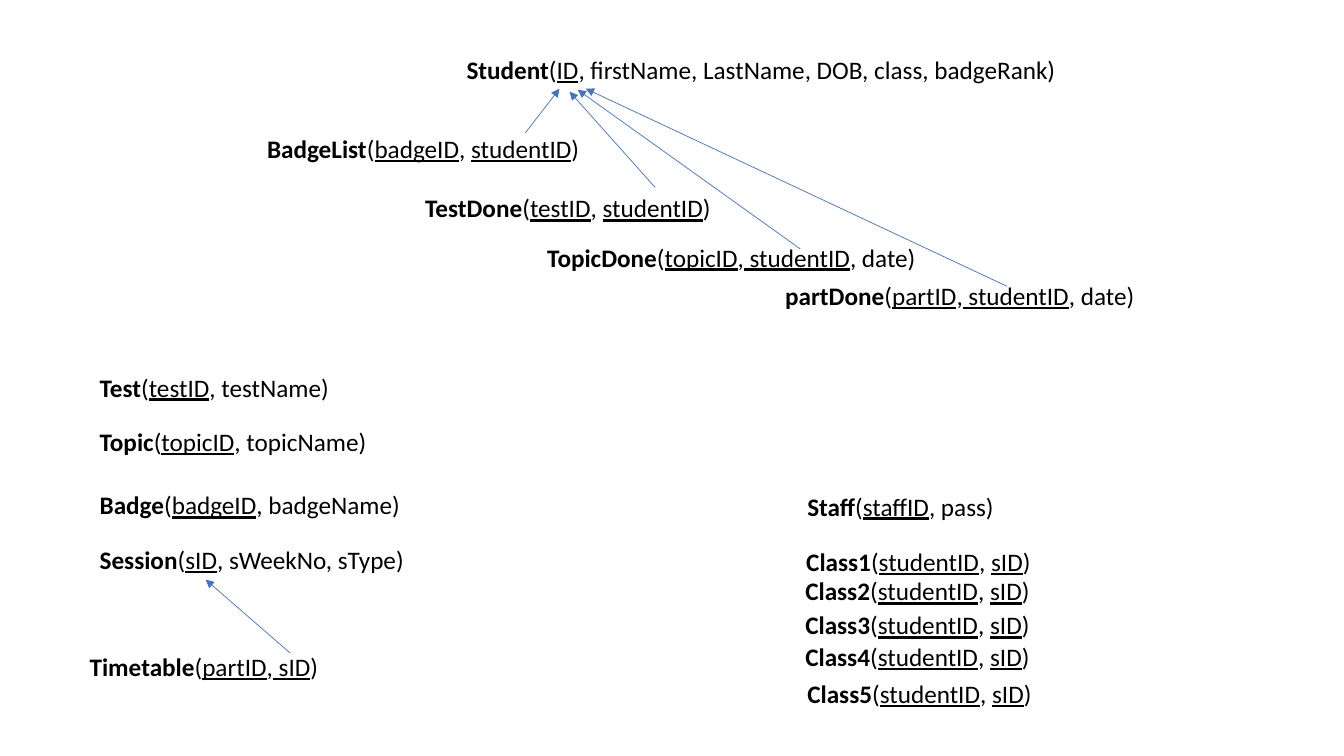
import pptx
import pptx.dml.color
import pptx.enum.shapes
import pptx.enum.text
import pptx.util
import lxml.etree


def color(value):
    return pptx.dml.color.RGBColor.from_string(value)


class SchemaSlide:
    font_name = "Calibri"
    font_size = pptx.util.Pt(18)
    text_color = "000000"
    arrow_color = "4472C4"
    arrow_width = pptx.util.Pt(0.5)
    row_height = 5.33

    def __init__(self, presentation):
        self.column = presentation.slide_width / 100
        self.row = presentation.slide_height / 100
        self.slide = presentation.slides.add_slide(presentation.slide_layouts[6])

    def place(self, left, top):
        return round(left * self.column), round(top * self.row)

    def relation(self, name, attributes, left, top, width):
        box = self.slide.shapes.add_textbox(
            *self.place(left, top), *self.place(width, self.row_height))
        frame = box.text_frame
        frame.word_wrap = True
        frame.auto_size = pptx.enum.text.MSO_AUTO_SIZE.SHAPE_TO_FIT_TEXT
        paragraph = frame.paragraphs[0]
        paragraph.font.name = self.font_name
        paragraph.font.size = self.font_size
        paragraph.font.color.rgb = color(self.text_color)
        title = paragraph.add_run()
        title.text = name
        title.font.bold = True
        for index, part in enumerate(f"({attributes})".split("_")):
            run = paragraph.add_run()
            run.text = part
            if index % 2:
                run.font.underline = True

    def arrow(self, start, end):
        connector = self.slide.shapes.add_connector(
            pptx.enum.shapes.MSO_CONNECTOR.STRAIGHT,
            *self.place(*start), *self.place(*end))
        connector.line.color.rgb = color(self.arrow_color)
        connector.line.width = self.arrow_width
        namespace = pptx.oxml.ns.qn
        line = connector.line._get_or_add_ln()
        lxml.etree.SubElement(line, namespace("a:tailEnd"), type="triangle")
        lxml.etree.SubElement(connector._element.spPr, namespace("a:effectLst"))


presentation = pptx.Presentation()
presentation.slide_width = pptx.util.Inches(13.33)
presentation.slide_height = pptx.util.Inches(7.5)
schema = SchemaSlide(presentation)

relations = [
    ("Student", "_ID_, firstName, LastName, DOB, class, badgeRank", 33.98, 6.53, 45.75),
    ("BadgeList", "_badgeID_, _studentID_", 19.13, 16.93, 45.08),
    ("TestDone", "_testID_, _studentID_", 30.9, 24.8, 27.9),
    ("TopicDone", "_topicID_,_ studentID_, date", 39.98, 31.33, 32.7),
    ("partDone", "_partID_,_ studentID_, date", 57.68, 36.4, 31.35),
    ("Test", "_testID_, testName", 6.68, 48.53, 27.9),
    ("Topic", "_topicID_, topicName", 6.68, 55.73, 27.9),
    ("Badge", "_badgeID_, badgeName", 6.68, 64.13, 27.9),
    ("Session", "_sID_, sWeekNo, sType", 6.68, 71.33, 24.68),
    ("Timetable", "_partID_,_ sID_", 5.93, 85.47, 35.78),
    ("Staff", "_staffID_, pass", 59.33, 64.27, 23.7),
]
for relation in relations:
    schema.relation(*relation)

class_places = [(59.25, 71.6), (59.18, 75.47), (59.18, 80), (59.18, 84.13), (59.33, 89.07)]
for number, (left, top) in enumerate(class_places, start=1):
    schema.relation(f"Class{number}", "_studentID_, _sID_", left, top, 23.7)

references = [
    ((39.08, 17.6), (41.63, 11.73)),
    ((48.75, 24.8), (42.38, 12.13)),
    ((59.55, 32.93), (42.98, 11.87)),
    ((74.93, 37.87), (43.58, 11.73)),
    ((21.6, 86.4), (15.3, 76.67)),
]
for start, end in references:
    schema.arrow(start, end)

presentation.save("out.pptx")
